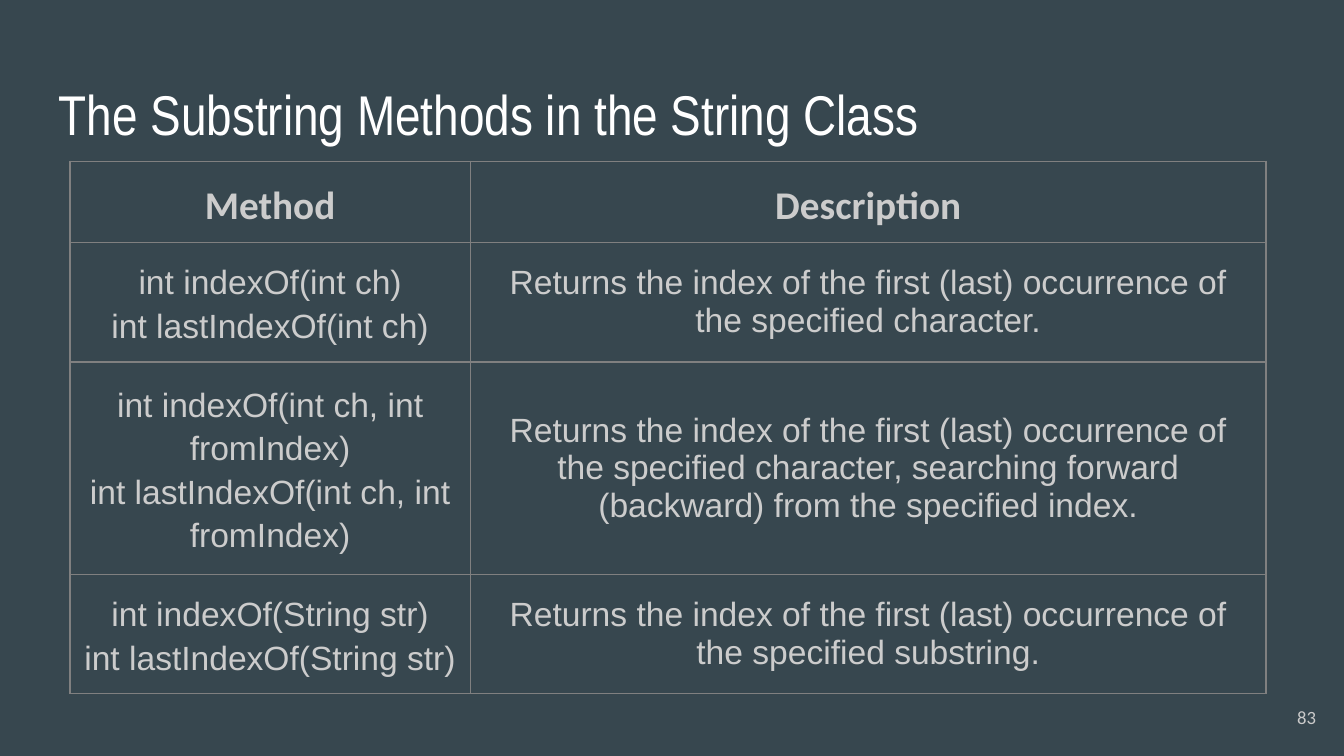
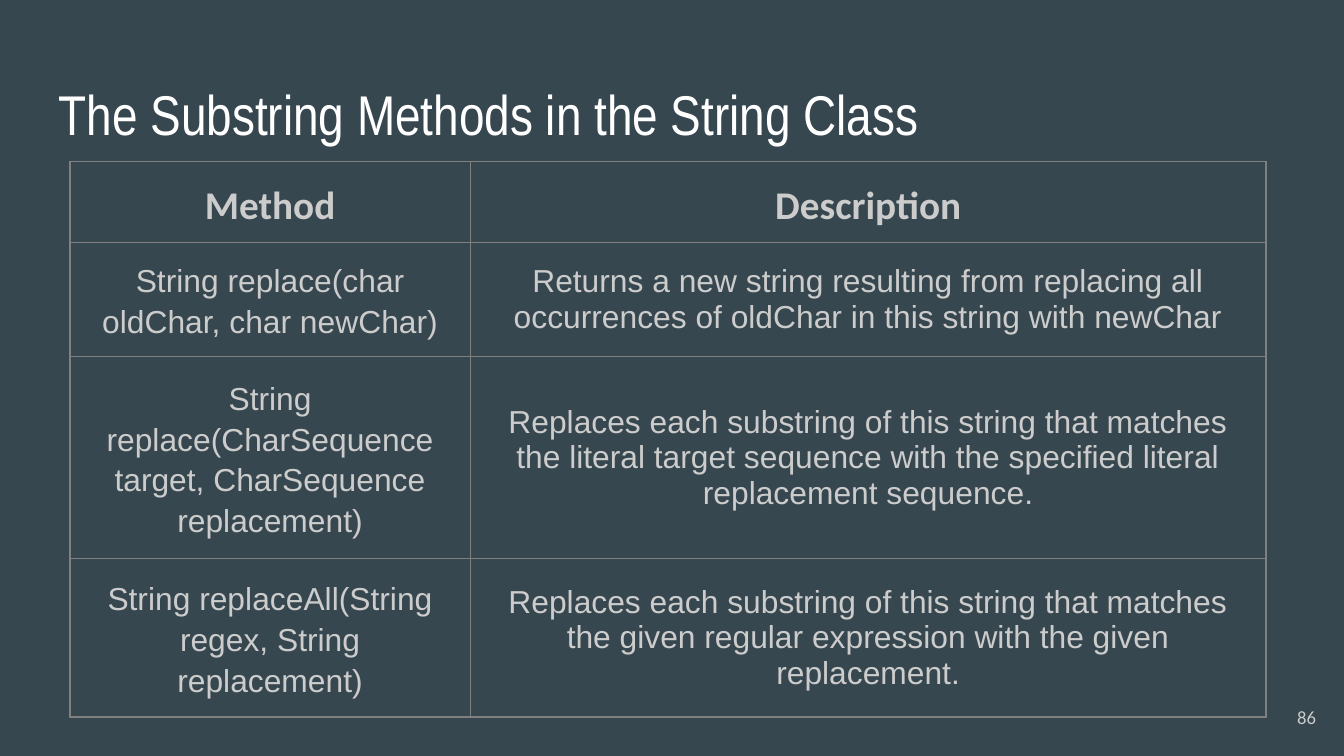
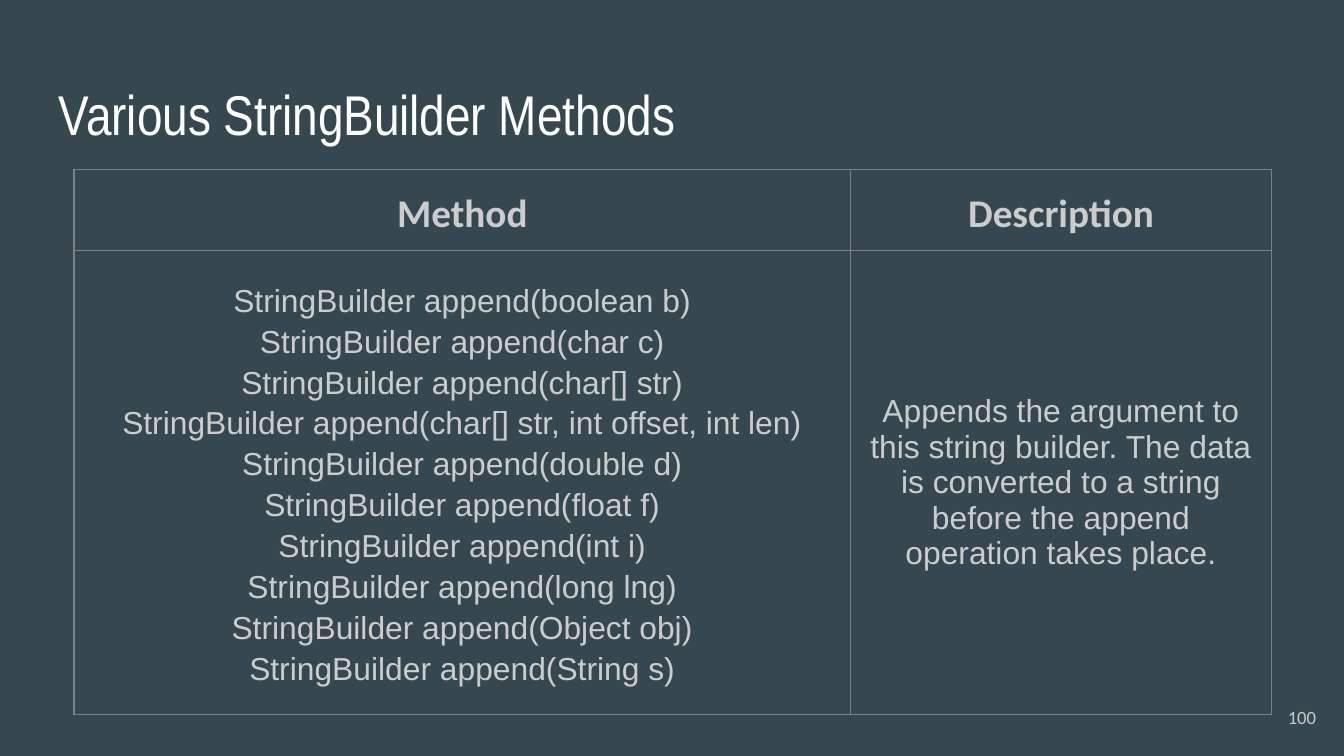
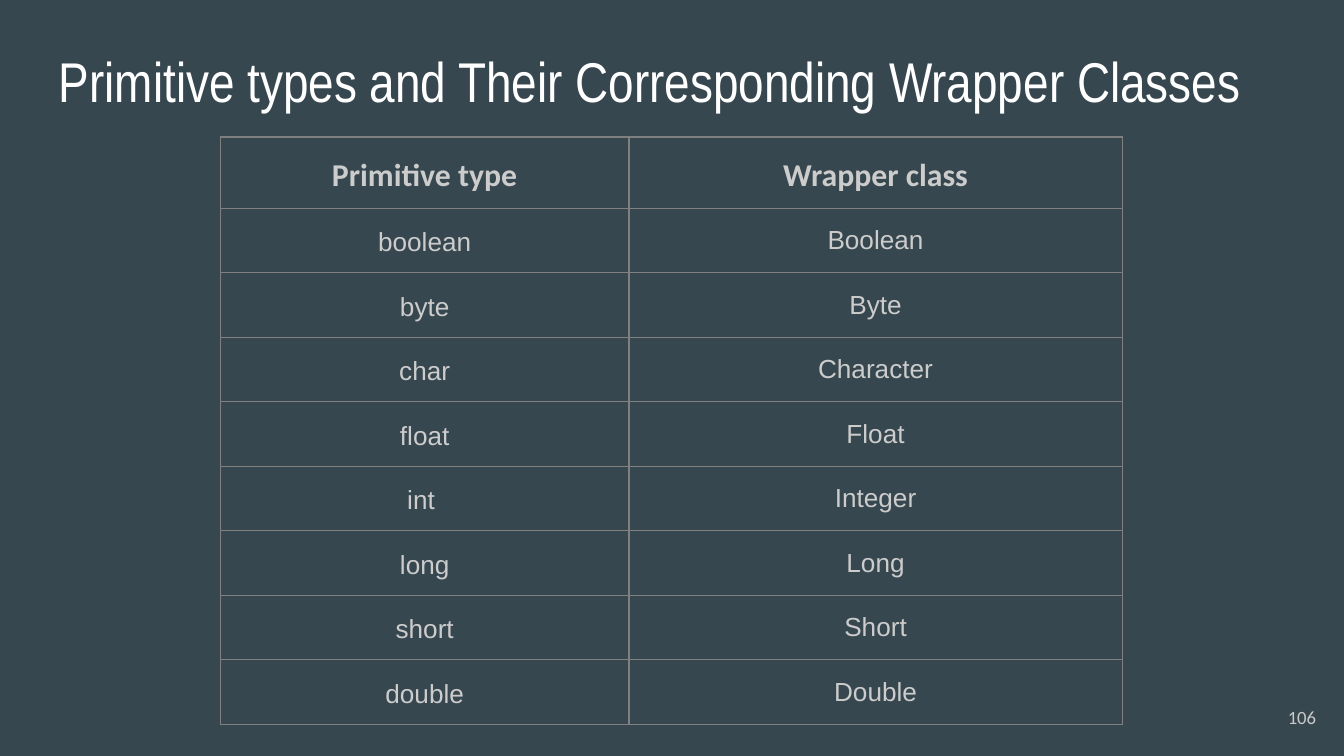
"""Build four slides of method and type tables on a slate ground."""
from dataclasses import dataclass
from typing import Any, NamedTuple

from lxml import etree
from pptx import Presentation
from pptx.dml.color import RGBColor
from pptx.enum.text import MSO_ANCHOR, PP_ALIGN
from pptx.oxml.ns import qn
from pptx.util import Emu, Inches, Pt

LEFT, MID, RIGHT = PP_ALIGN.LEFT, PP_ALIGN.CENTER, PP_ALIGN.RIGHT
TOP, MIDDLE = MSO_ANCHOR.TOP, MSO_ANCHOR.MIDDLE
WIDE = Inches(10)
HIGH = Emu(WIDE * 9 // 16)
UNIT = WIDE // 100
BLANK = 6


class Style(NamedTuple):
    font: str
    size: int
    color: str
    bold: bool = False


@dataclass(frozen=True)
class Theme:
    ground: str = "37474F"
    rule: str = "808080"
    rule_pt: float = 0.75
    inset: float = 1
    loose: float = 1.15
    title: Style = Style("Arial Narrow", 30, "FFFFFF")
    page: Style = Style("Calibri", 10, "CACACA")
    ink: str = "CCCCCC"

    def head(self, size: int) -> Style:
        return Style("Calibri", size, self.ink, True)

    def body(self, size: int) -> Style:
        return Style("Arial", size, self.ink)


class Box(NamedTuple):
    """Place on a grid of 100 columns, with square units."""
    x: float
    y: float
    w: float
    h: float


@dataclass(frozen=True)
class Grid:
    x: float
    y: float
    cols: tuple[float, ...]
    rows: tuple[float, ...]
    head_pt: int
    body_pt: int
    cells: list[tuple[str, str]]


@dataclass(frozen=True)
class Page:
    title: str
    number: int
    grid: Grid
    title_y: float = 4.9


THEME = Theme()
HEADS = ("Method", "Description")
SPLIT = (29.8, 59.2)
FOUR = (5.1, 6.1, 3.9, 3.9)
SUBS = "The Substring Methods in the String Class"
FOUND = "Returns the index of the first (last) occurrence of the specified "
SWAP = "Replaces each substring of this string that matches the "
ARGS = ("boolean b", "char c", "char[] str", "char[] str, int offset, int len",
        "double d", "float f", "int i", "long lng", "Object obj", "String s")
TYPES = [("boolean", "Boolean"), ("byte", "Byte"), ("char", "Character"),
         ("float", "Float"), ("int ", "Integer"), ("long", "Long"),
         ("short", "Short"), ("double", "Double")]


def pair(args: str) -> str:
    """Give the forward and the backward search call, one a line."""
    return f"int indexOf({args})\nint lastIndexOf({args})"


PAGES = [
    Page(SUBS, 83, Grid(5.2, 12, SPLIT, FOUR, 21, 18, [
        HEADS,
        (pair("int ch"), FOUND + "character."),
        (pair("int ch, int fromIndex"),
         FOUND + "character, searching forward (backward) from the specified index."),
        (pair("String str"), FOUND + "substring."),
    ])),
    Page(SUBS, 86, Grid(5.2, 12, SPLIT, FOUR, 21, 17, [
        HEADS,
        ("String replace(char oldChar, char newChar)",
         "Returns a new string resulting from replacing all occurrences of "
         "oldChar in this string with newChar"),
        ("String replace(CharSequence target, CharSequence replacement)",
         SWAP + "literal target sequence with the specified literal replacement sequence."),
        ("String replaceAll(String regex, String replacement)",
         SWAP + "given regular expression with the given replacement."),
    ])),
    Page("Various StringBuilder Methods", 100,
         Grid(5.5, 12.6, (57.8, 31.3), FOUR[:2], 21, 17, [
             HEADS,
             ("\n".join(f"StringBuilder append({arg})" for arg in ARGS),
              "Appends the argument to this string builder. The data is converted "
              "to a string before the append operation takes place."),
         ])),
    Page("Primitive types and Their Corresponding Wrapper Classes", 106,
         Grid(16.4, 10.2, (30.4, 36.7), (5.3,) + (4.8,) * len(TYPES), 17, 14,
              [("Primitive type", "Wrapper class"), *TYPES]), title_y=2.5),
]


def span(units: float) -> Emu:
    """Turn grid units into a length."""
    return Emu(round(units * UNIT))


def apply(item: Any, values: dict[str, Any]) -> None:
    """Set each named value on an item."""
    for name, value in values.items():
        setattr(item, name, value)


def inset(prefix: str = "margin_") -> dict[str, Emu]:
    """Give the four equal margins."""
    return {prefix + side: span(THEME.inset)
            for side in ("left", "top", "right", "bottom")}


def write(frame: Any, text: str, style: Style, align: Any, lead: float | None = None) -> None:
    """Fill a text frame with one paragraph a line."""
    frame.text = text
    for para in frame.paragraphs:
        apply(para, {"alignment": align, "line_spacing": lead})
        for run in para.runs:
            apply(run.font, {"name": style.font, "size": Pt(style.size), "bold": style.bold})
            run.font.color.rgb = RGBColor.from_string(style.color)


def label(slide: Any, box: Box, text: str, style: Style, align: Any, anchor: Any) -> None:
    """Add a text box."""
    frame = slide.shapes.add_textbox(*map(span, box)).text_frame
    apply(frame, {"word_wrap": True, "vertical_anchor": anchor, **inset()})
    write(frame, text, style, align)


def border(cell: Any) -> None:
    """Rule all four sides of a cell."""
    props = cell._tc.get_or_add_tcPr()
    for side in "LRTB":
        line = etree.SubElement(props, qn(f"a:ln{side}"), w=str(Pt(THEME.rule_pt)))
        fill = etree.SubElement(line, qn("a:solidFill"))
        etree.SubElement(fill, qn("a:srgbClr"), val=THEME.rule)


def chart(slide: Any, grid: Grid) -> None:
    """Add a ruled table with a bold head row."""
    box = Box(grid.x, grid.y, sum(grid.cols), sum(grid.rows))
    table = slide.shapes.add_table(
        len(grid.rows), len(grid.cols), *map(span, box)).table
    apply(table, {"first_row": False, "horz_banding": False})
    for col, width in zip(table.columns, grid.cols):
        col.width = span(width)
    for row, height in zip(table.rows, grid.rows):
        row.height = span(height)
    for r, texts in enumerate(grid.cells):
        style = THEME.body(grid.body_pt) if r else THEME.head(grid.head_pt)
        for c, text in enumerate(texts):
            cell = table.cell(r, c)
            apply(cell, {"vertical_anchor": MIDDLE, **inset()})
            border(cell)
            cell.fill.background()
            write(cell.text_frame, text, style, MID, None if r and c else THEME.loose)


def draw(deck: Any, page: Page) -> None:
    """Add one slide with its title, number and table."""
    slide = deck.slides.add_slide(deck.slide_layouts[BLANK])
    slide.background.fill.solid()
    slide.background.fill.fore_color.rgb = RGBColor.from_string(THEME.ground)
    label(slide, Box(3.4, page.title_y, 93.2, 6.3), page.title, THEME.title, LEFT, TOP)
    label(slide, Box(92.9, 51.2, 6, 4.3), str(page.number), THEME.page, RIGHT, MIDDLE)
    chart(slide, page.grid)


def main() -> None:
    """Build and save the deck."""
    deck = Presentation()
    apply(deck, {"slide_width": WIDE, "slide_height": HIGH})
    for page in PAGES:
        draw(deck, page)
    deck.save("out.pptx")


if __name__ == "__main__":
    main()
